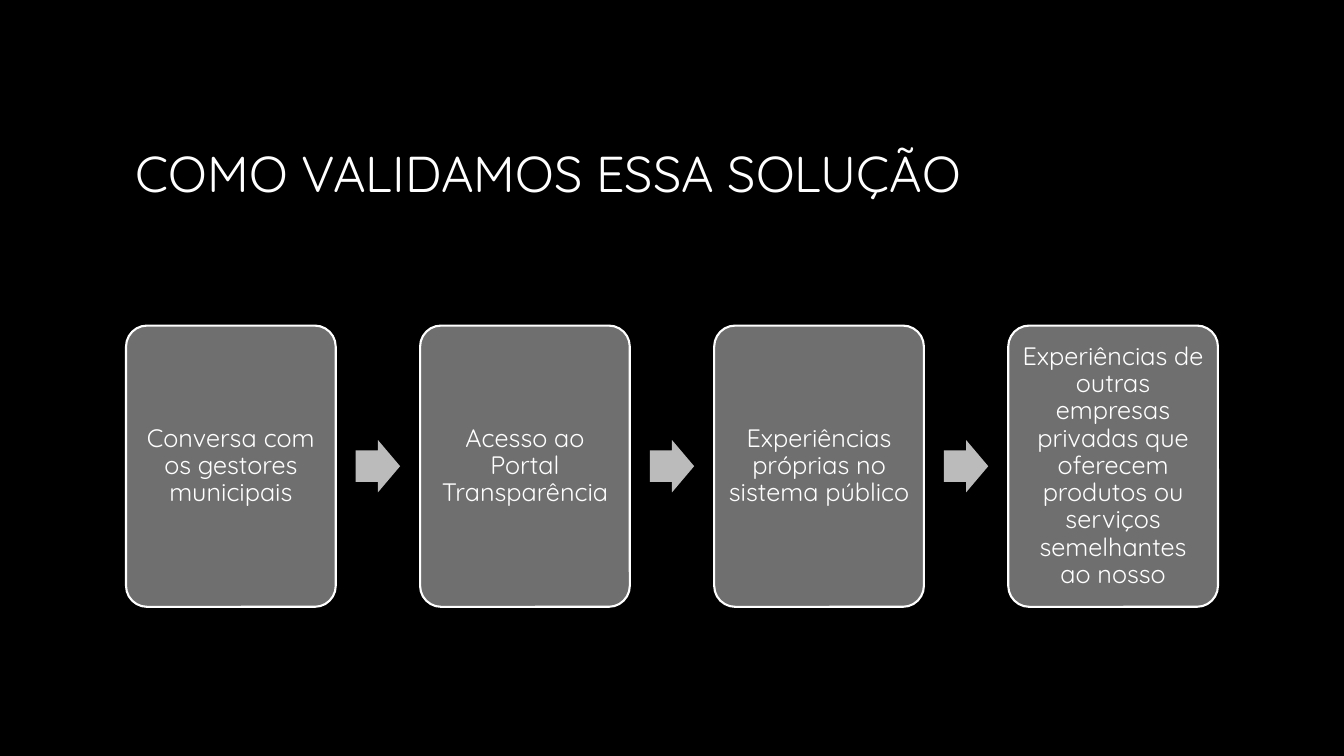
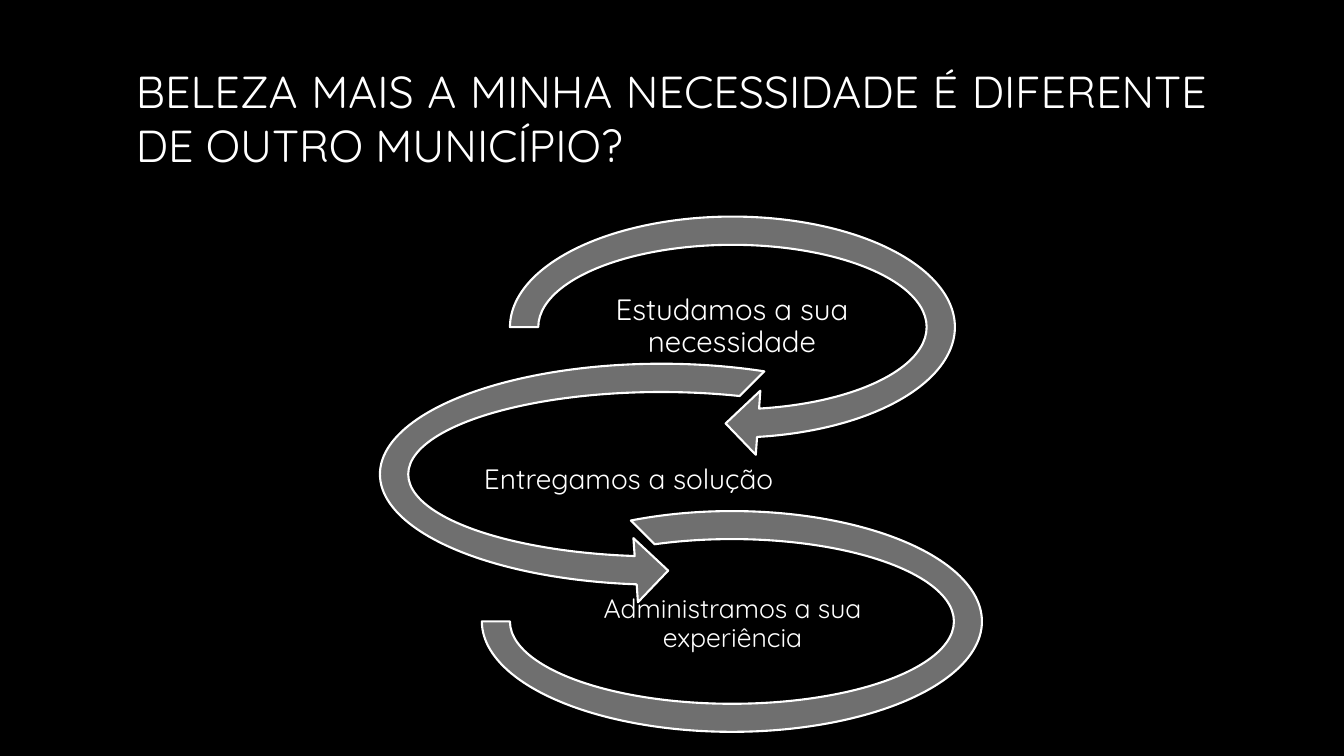
import pptx
import pptx.dml.color
import pptx.enum.shapes
import pptx.enum.text
import pptx.util

SHAPE = pptx.enum.shapes.MSO_SHAPE
ALIGN = pptx.enum.text.PP_ALIGN
Inches = pptx.util.Inches

FONT = "Quicksand"
COLORS = {"background": "000000", "text": "FFFFFF", "outline": "FFFFFF",
          "body": "6F6F6F", "arrow": "BBBBBB"}
SLIDE_WIDTH, SLIDE_HEIGHT = 13.33, 7.5
MARGIN = 1.25
CONTENT_WIDTH = SLIDE_WIDTH - 2 * MARGIN
TITLE_HEIGHT = 2.08

STEPS_TITLE = "COMO VALIDAMOS ESSA SOLUÇÃO"
STEPS = [
    "Conversa com os gestores municipais",
    "Acesso ao Portal Transparência",
    "Experiências próprias no sistema público",
    "Experiências de outras empresas privadas que oferecem produtos ou "
    "serviços semelhantes ao nosso",
]
CARD_TOP, CARD_WIDTH, CARD_HEIGHT = 3.23, 2.08, 2.79
ARROW_WIDTH, ARROW_HEIGHT = 0.44, 0.52

LOOPS_TITLE = "BELEZA MAIS A MINHA NECESSIDADE É DIFERENTE DE OUTRO MUNICÍPIO?"
# Each loop: shape, its box, its adjustments, label, label box, label size
LOOPS = [
    (SHAPE.CIRCULAR_ARROW, (4.88, 1.97, 4.77, 2.55), (0.11, 11.42, 45, 108, 0.125),
     "Estudamos a sua necessidade", (5.84, 2.73, 2.84, 1.02), 21),
    (SHAPE.LEFT_CIRCULAR_ARROW, (3.59, 3.43, 5.94, 2.55), (0.11, 11.42, 63, 189, 0.125),
     "Entregamos a solução", (4.52, 4.41, 3.43, 0.71), 20),
    (SHAPE.BLOCK_ARC, (4.78, 5.07, 4.96, 2.19), (135, 108, 0.127),
     "Administramos a sua experiência", (5.54, 5.84, 3.45, 0.71), 19),
]


def rgb(name):
    return pptx.dml.color.RGBColor.from_string(COLORS[name])


def write(shape, text, size, align, inset, line_spacing=1.0):
    frame = shape.text_frame
    frame.text = text
    frame.word_wrap = True
    frame.vertical_anchor = pptx.enum.text.MSO_ANCHOR.MIDDLE
    frame.margin_left = frame.margin_right = Inches(inset)
    frame.margin_top = frame.margin_bottom = Inches(inset)
    paragraph = frame.paragraphs[0]
    paragraph.alignment = align
    paragraph.line_spacing = line_spacing
    font = paragraph.runs[0].font
    font.name, font.size = FONT, pptx.util.Pt(size)
    font.color.rgb = rgb("text")


def add_textbox(slide, box, *text_style):
    write(slide.shapes.add_textbox(*map(Inches, box)), *text_style)


def add_shape(slide, kind, box, adjustments, fill, outlined=True):
    shape = slide.shapes.add_shape(kind, *map(Inches, box))
    shape.shadow.inherit = False
    for index, value in enumerate(adjustments):
        shape.adjustments[index] = value
    shape.fill.solid()
    shape.fill.fore_color.rgb = rgb(fill)
    if outlined:
        shape.line.color.rgb = rgb("outline")
        shape.line.width = pptx.util.Pt(1.5)
    else:
        shape.line.fill.background()
    return shape


def add_titled_slide(presentation, title, top, size, align):
    slide = presentation.slides.add_slide(presentation.slide_layouts[6])
    add_textbox(slide, (MARGIN, top, CONTENT_WIDTH, TITLE_HEIGHT),
                title, size, align, 0.1)
    return slide


def build_steps(presentation):
    slide = add_titled_slide(presentation, STEPS_TITLE, 0.67, 36, ALIGN.LEFT)
    pitch = (CONTENT_WIDTH - CARD_WIDTH) / (len(STEPS) - 1)
    arrow_offset = CARD_WIDTH + (pitch - CARD_WIDTH - ARROW_WIDTH) / 2
    arrow_top = CARD_TOP + (CARD_HEIGHT - ARROW_HEIGHT) / 2
    for index, step in enumerate(STEPS):
        left = MARGIN + index * pitch
        if index < len(STEPS) - 1:
            add_shape(slide, SHAPE.RIGHT_ARROW,
                      (left + arrow_offset, arrow_top, ARROW_WIDTH, ARROW_HEIGHT),
                      (0.6, 0.5), "arrow", outlined=False)
        card = add_shape(slide, SHAPE.ROUNDED_RECTANGLE,
                         (left, CARD_TOP, CARD_WIDTH, CARD_HEIGHT), (0.1,), "body")
        write(card, step, 18, ALIGN.CENTER, 0.07, 0.9)


def build_loops(presentation):
    slide = add_titled_slide(presentation, LOOPS_TITLE, 0.13, 32, ALIGN.JUSTIFY)
    for kind, box, adjustments, label, label_box, size in LOOPS:
        add_shape(slide, kind, box, adjustments, "body")
        add_textbox(slide, label_box, label, size, ALIGN.CENTER, 0.01, 0.9)


def main():
    presentation = pptx.Presentation()
    presentation.slide_width = Inches(SLIDE_WIDTH)
    presentation.slide_height = Inches(SLIDE_HEIGHT)
    background = presentation.slide_master.background.fill
    background.solid()
    background.fore_color.rgb = rgb("background")
    build_steps(presentation)
    build_loops(presentation)
    presentation.save("out.pptx")


if __name__ == "__main__":
    main()
